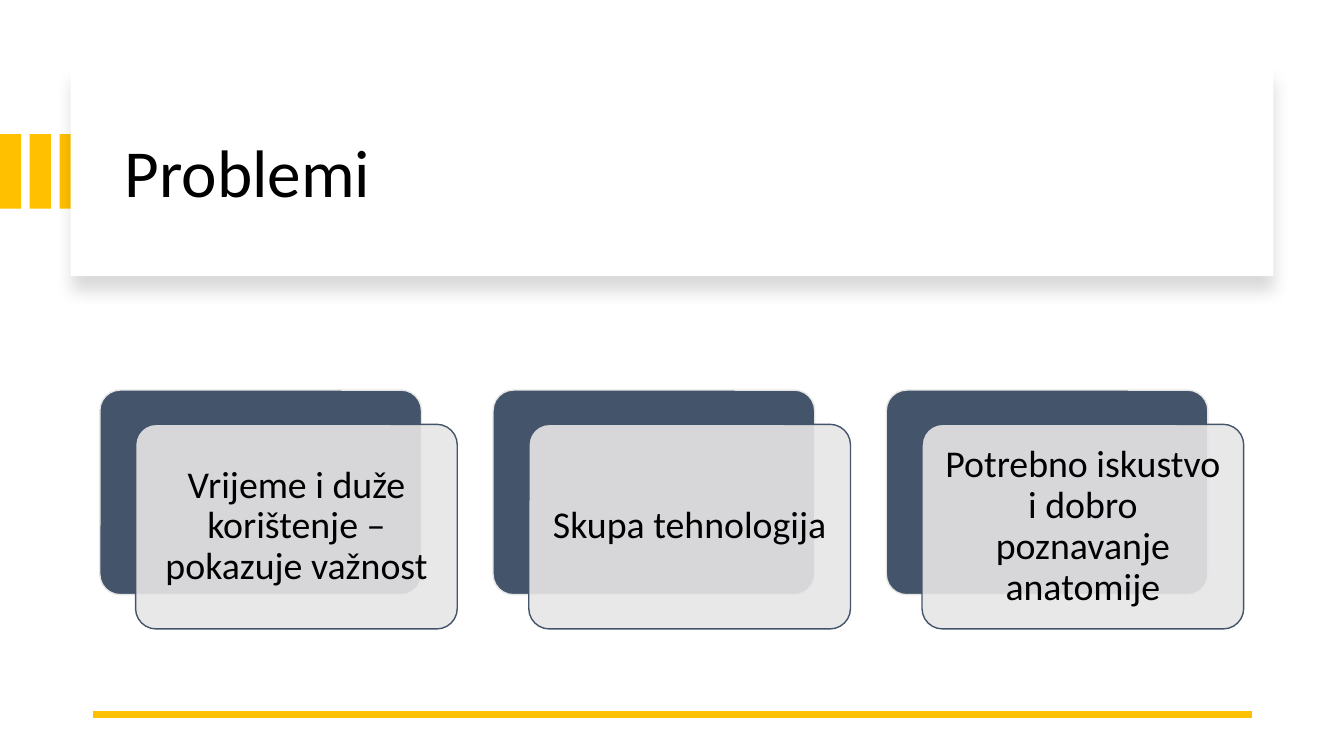
from lxml import etree
from pptx import Presentation
from pptx import util as u
from pptx.dml.color import RGBColor
from pptx.enum import shapes, text
from pptx.oxml import ns

COLORS = {"gold": "FFC000", "white": "FFFFFF", "navy": "44546A",
          "gray": "E7E6E6", "black": "000000"}
FONT = "Calibri"
PROBLEMS = ["Vrijeme i duže korištenje – pokazuje važnost",
            "Skupa tehnologija",
            "Potrebno iskustvo i dobro poznavanje anatomije"]


def rgb(name):
    """Return the named palette colour."""
    return RGBColor.from_string(COLORS[name])


def add_child(parent, tag, **attrs):
    """Append a DrawingML element to parent and return it."""
    return etree.SubElement(parent, ns.qn(tag), **attrs)


def add_box(s, kind, x, y, w, h, fill, line=None):
    """Add a flat filled shape, outlined when a line colour is given."""
    sp = s.shapes.add_shape(kind, *map(u.Inches, (x, y, w, h)))
    sp.shadow.inherit = False
    sp.fill.solid()
    sp.fill.fore_color.rgb = rgb(fill)
    if line:
        sp.line.color.rgb = rgb(line)
        sp.line.width = u.Pt(1)
    else:
        sp.line.fill.background()
    return sp


def write_text(sp, words, size, align, inset_x, inset_y):
    """Write one vertically centred paragraph into a shape."""
    tf = sp.text_frame
    tf.word_wrap = True
    tf.vertical_anchor = text.MSO_ANCHOR.MIDDLE
    tf.margin_left = tf.margin_right = u.Inches(inset_x)
    tf.margin_top = tf.margin_bottom = u.Inches(inset_y)
    p = tf.paragraphs[0]
    p.alignment = align
    p.line_spacing = 0.9
    r = p.add_run()
    r.text = words
    r.font.size = u.Pt(size)
    r.font.name = FONT
    r.font.color.rgb = rgb("black")


def add_stripes(s, x, y, w, h, count=3, pitch=0.295):
    """Draw the row of gold bars at the slide edge."""
    for i in range(count):
        add_box(s, shapes.MSO_SHAPE.RECTANGLE, x + i * pitch, y, w, h, "gold")


def add_title(s, x, y, w, h, words):
    """Draw the raised white panel and its title."""
    panel = add_box(s, shapes.MSO_SHAPE.RECTANGLE, x, y, w, h, "white")
    effects = panel._element.spPr.find(ns.qn("a:effectLst"))
    shadow = add_child(effects, "a:outerShdw", blurRad=str(u.Pt(11)),
                       dist=str(u.Pt(10)), dir="5400000", algn="t",
                       rotWithShape="0")
    color = add_child(shadow, "a:srgbClr", val=COLORS["black"])
    add_child(color, "a:alpha", val="15000")
    title = s.shapes.add_textbox(u.Inches(x + 0.44), u.Inches(y + 0.22),
                                 u.Inches(w - 0.8), u.Inches(h - 0.37))
    write_text(title, words, 48, text.PP_ALIGN.LEFT, 0.1, 0.05)


def add_rule(s, x, y, w):
    """Draw the gold line at the foot of the slide."""
    rule = s.shapes.add_connector(shapes.MSO_CONNECTOR.STRAIGHT, u.Inches(x + w),
                                  u.Inches(y), u.Inches(x), u.Inches(y))
    rule.line.color.rgb = rgb("gold")
    rule.line.width = u.Pt(4.5)
    add_child(rule._element.spPr, "a:effectLst")


def add_card(s, x, y, w, h, words):
    """Draw a navy card with a translucent text card offset over it."""
    kind = shapes.MSO_SHAPE.ROUNDED_RECTANGLE
    back = add_box(s, kind, x, y, w, h, "navy", "gray")
    front = add_box(s, kind, x + 0.355, y + 0.34, w, h, "gray", "navy")
    for sp in (back, front):
        sp.adjustments[0] = 0.1
    color = front._element.spPr.find(ns.qn("a:solidFill"))[0]
    add_child(color, "a:alpha", val="90000")
    write_text(front, words, 27, text.PP_ALIGN.CENTER, 0.11, 0.11)


def add_cards(s, x, y, w, h, pitch=3.9):
    """Lay out the problem cards at an equal pitch."""
    for i, words in enumerate(PROBLEMS):
        add_card(s, x + i * pitch, y, w, h, words)


def main():
    """Build and save the slide."""
    prs = Presentation()
    prs.slide_width, prs.slide_height = u.Inches(13.33), u.Inches(7.5)
    s = prs.slides.add_slide(prs.slide_layouts[6])
    add_stripes(s, 0, 1.33, 0.21, 0.74)
    add_title(s, 0.7, 0.67, 11.93, 2.07, "Problemi")
    add_rule(s, 0.92, 7.09, 11.5)
    add_cards(s, 0.99, 3.87, 3.19, 2.03)
    prs.save("out.pptx")


if __name__ == "__main__":
    main()
